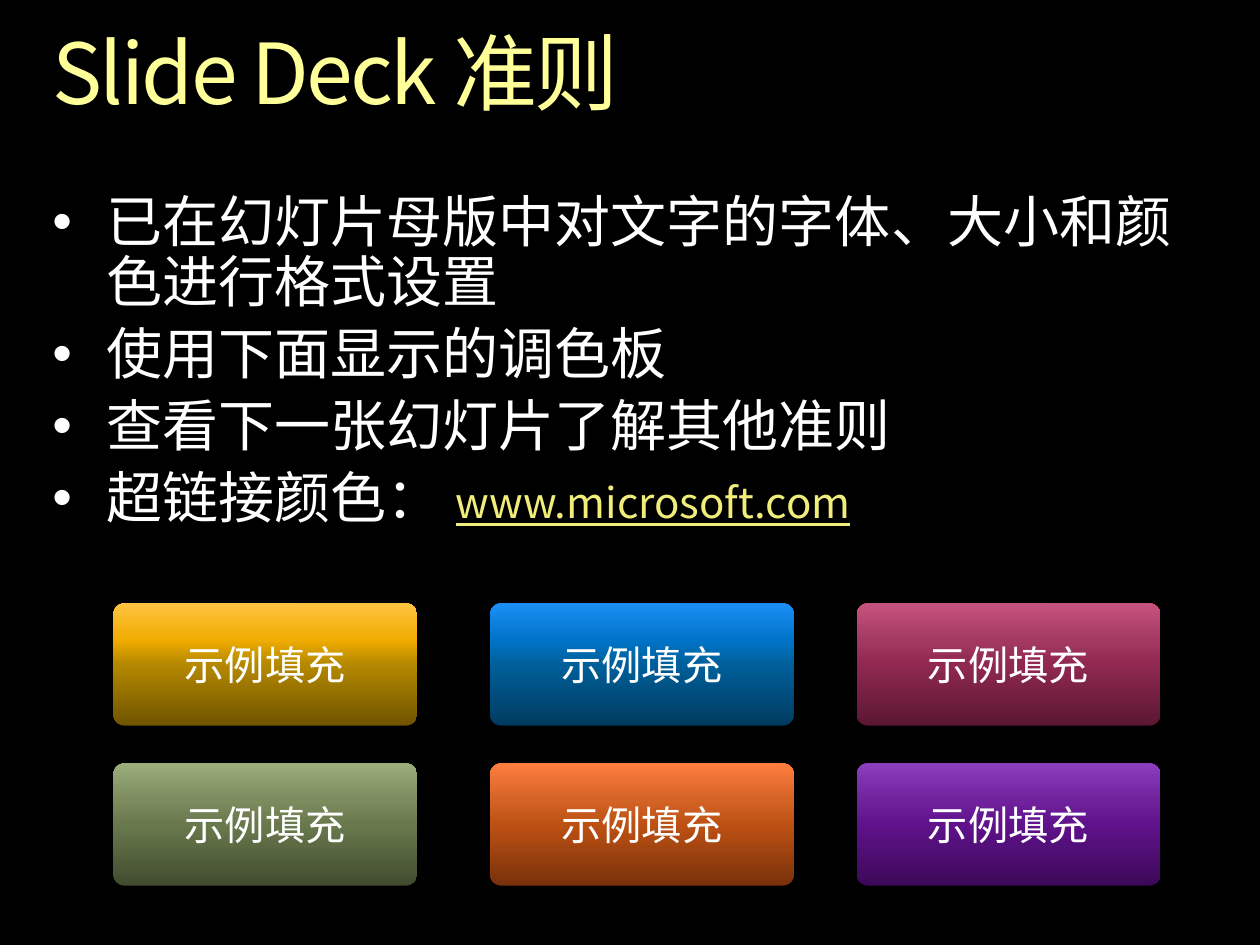
from itertools import product

from lxml.etree import SubElement
from pptx import Presentation
from pptx.dml.color import RGBColor
from pptx.enum.shapes import MSO_SHAPE
from pptx.enum.text import MSO_ANCHOR, MSO_AUTO_SIZE, PP_ALIGN
from pptx.oxml import parse_xml
from pptx.oxml.ns import nsdecls, qn
from pptx.util import Pt

FONT = "Noto Sans CJK SC"
WHITE = "FFFFFF"
STOPS = (0, 50, 70, 100)
SAMPLES = [  # gradient colours from bottom to top, row by row
    ("705400", "B48800", "F0AC00", "FFC342"),
    ("003B60", "005F9A", "0074C8", "1C8FF6"),
    ("5B1731", "902850", "A33961", "C6537D"),
    ("414C2F", "69794D", "7C8C5F", "9BAD7B"),
    ("78310A", "BD5114", "D46326", "FE7E3F"),
    ("3C0958", "5F128B", "6F229C", "8B3FBD"),
]


def color(value):
    return RGBColor.from_string(value)


def add_text(para, text, size=32, fill=WHITE, underline=None, spacing=None):
    span = para.add_run()
    span.text = text
    span.font.name = FONT
    span.font.size = Pt(size)
    span.font.color.rgb = color(fill)
    span.font.underline = underline
    properties = span.font._element
    if spacing is not None:
        properties.set("spc", str(int(spacing * 100)))
    latin = properties.find(qn("a:latin"))
    latin.addnext(parse_xml(f'<a:ea {nsdecls("a")} typeface="{FONT}"/>'))


def place(holder, box):
    holder.left, holder.top, holder.width, holder.height = map(Pt, box)
    frame = holder.text_frame
    frame.margin_left = frame.margin_top = 0
    frame.margin_right = frame.margin_bottom = 0
    frame.word_wrap = True
    frame.vertical_anchor = MSO_ANCHOR.TOP
    frame.auto_size = MSO_AUTO_SIZE.SHAPE_TO_FIT_TEXT
    return frame


def fill_title(page, box):
    para = place(page.shapes.title, box).paragraphs[0]
    para.alignment = PP_ALIGN.LEFT
    para.line_spacing = 0.9
    add_text(para, "Slide Deck 准则", size=48, fill="FFFF99", spacing=-1.5)


def fill_list(page, box):
    frame = place(page.placeholders[1], box)
    items = [
        "已在幻灯片母版中对文字的字体、大小和颜色进行格式设置",
        "使用下面显示的调色板",
        "查看下一张幻灯片了解其他准则",
        "超链接颜色： ",
    ]
    for index, item in enumerate(items):
        para = frame.paragraphs[0] if index == 0 else frame.add_paragraph()
        properties = para._p.get_or_add_pPr()
        properties.set("marL", str(Pt(31)))
        properties.set("indent", str(-Pt(31)))
        SubElement(properties, qn("a:buFont"), typeface="Arial")
        SubElement(properties, qn("a:buChar"), char="•")
        para.line_spacing = 0.9
        para.space_before = Pt(6.4 if index else 0)
        add_text(para, item)
    # Hyperlink colour sample at the end of the last item
    add_text(para, "www.microsoft.com", size=24, fill="F0ED7B", underline=True)


def set_gradient(shape, colors):
    stops = "".join(
        f'<a:gs pos="{stop * 1000}"><a:srgbClr val="{value}"/></a:gs>'
        for stop, value in zip(STOPS, colors)
    )
    gradient = parse_xml(
        f'<a:gradFill {nsdecls("a")} rotWithShape="1"><a:gsLst>{stops}</a:gsLst>'
        '<a:lin ang="16200000" scaled="0"/></a:gradFill>'
    )
    shape._element.spPr.find(qn("a:prstGeom")).addnext(gradient)


def add_sample(page, box, colors):
    shape = page.shapes.add_shape(MSO_SHAPE.ROUNDED_RECTANGLE, *map(Pt, box))
    shape.adjustments[0] = 0.09
    shape.shadow.inherit = False
    shape.line.fill.background()
    set_gradient(shape, colors)
    frame = shape.text_frame
    frame.word_wrap = True
    frame.vertical_anchor = MSO_ANCHOR.MIDDLE
    para = frame.paragraphs[0]
    para.alignment = PP_ALIGN.CENTER
    add_text(para, "示例填充", size=23)


def add_palette(page, box):
    left, top, width, height = box
    sample_width, sample_height = 173.5, 69.8
    columns = (left, left + 215.3, left + width - sample_width)
    rows = (top, top + height - sample_height)
    for (y, x), colors in zip(product(rows, columns), SAMPLES):
        add_sample(page, (x, y, sample_width, sample_height), colors)


def main():
    deck = Presentation()
    deck.slide_width, deck.slide_height = Pt(720), Pt(540)
    page = deck.slides.add_slide(deck.slide_layouts[1])
    page.background.fill.solid()
    page.background.fill.fore_color.rgb = color("000000")

    fill_title(page, (30, 18, 660, 52.6))
    fill_list(page, (30, 110.9, 660, 200.9))
    add_palette(page, (64.8, 344.9, 598.3, 161.2))
    deck.save("out.pptx")


if __name__ == "__main__":
    main()
